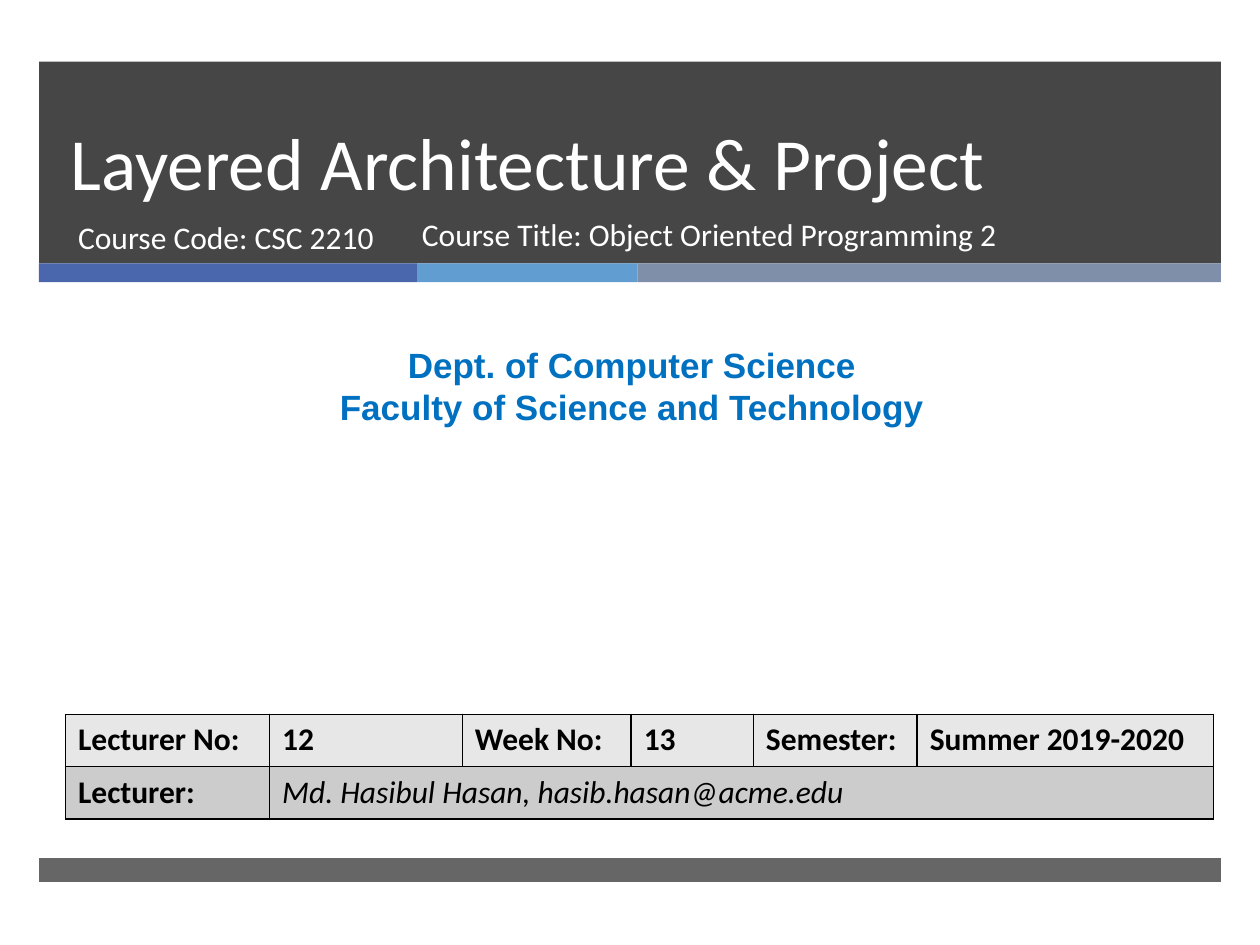
from lxml.etree import SubElement as Sub
from pptx import Presentation
from pptx.dml.color import RGBColor as Rgb
from pptx.enum.shapes import MSO_SHAPE as Kind
from pptx.enum.text import MSO_ANCHOR as Anchor, MSO_AUTO_SIZE as Fit, PP_ALIGN as Align
from pptx.oxml.ns import qn
from pptx.util import Inches, Pt

WHITE = Rgb(0xFF, 0xFF, 0xFF)
BLACK = Rgb(0, 0, 0)
DARK = Rgb(0x26, 0x26, 0x26)
NAVY = Rgb(0x4A, 0x66, 0xAC)
SKY = Rgb(0x62, 0x9D, 0xD1)
SLATE = Rgb(0x7F, 0x8F, 0xA9)
BLUE = Rgb(0x00, 0x70, 0xC0)
LIGHT = Rgb(0xE7, 0xE7, 0xE7)
GREY = Rgb(0xCC, 0xCC, 0xCC)


def add_run(para, text, size, color, font="Calibri", bold=False, italic=False):
    run = para.add_run()
    run.text = text
    face = run.font
    face.name, face.size = font, Pt(size)
    face.bold, face.italic = bold, italic
    face.color.rgb = color


def add_bar(slide, box, color, alpha=100):
    bar = slide.shapes.add_shape(Kind.RECTANGLE, *map(Inches, box))
    bar.shadow.inherit = False
    bar.fill.solid()
    bar.fill.fore_color.rgb = color
    bar.line.fill.background()
    if alpha < 100:
        tint = bar.element.spPr.find(".//" + qn("a:srgbClr"))
        Sub(tint, qn("a:alpha"), val=str(alpha * 1000))


def add_band(slide, box):
    left, top, width, height = box
    strip = 0.15
    add_bar(slide, (left, top, width, height - strip), DARK, 85)
    for part, color in ((3, NAVY), (1.75, SKY), (4.63, SLATE)):
        add_bar(slide, (left, top + height - strip, part, strip), color)
        left += part


def set_holder(holder, box, text, size, anchor):
    holder.left, holder.top, holder.width, holder.height = map(Inches, box)
    holder.element.getparent().append(holder.element)
    frame = holder.text_frame
    frame.auto_size = Fit.NONE
    frame.word_wrap = True
    frame.vertical_anchor = anchor
    para = frame.paragraphs[0]
    para.alignment = Align.LEFT
    para.space_before = Pt(0)
    add_run(para, text, size, WHITE)
    return para


def add_text(slide, box, lines, align, **style):
    frame = slide.shapes.add_textbox(*map(Inches, box)).text_frame
    frame.word_wrap = True
    for index, line in enumerate(lines):
        para = frame.add_paragraph() if index else frame.paragraphs[0]
        para.alignment = align
        add_run(para, line, **style)


def set_cell(cell, color):
    props = cell._tc.get_or_add_tcPr()
    for side in ("lnL", "lnR", "lnT", "lnB"):
        edge = Sub(props, qn("a:" + side), w=str(Pt(1)))
        Sub(Sub(edge, qn("a:solidFill")), qn("a:srgbClr"), val=str(BLACK))
    cell.fill.solid()
    cell.fill.fore_color.rgb = color


def add_facts(slide, box):
    widths = (1.62, 1.53, 1.34, 0.97, 1.3, 2.35)
    rows = (
        (LIGHT, ("Lecturer No:", "12", "Week No:", "13", "Semester:", "Summer 2019-2020")),
        (GREY, ("Lecturer:", "Md. Hasibul Hasan, hasib.hasan@acme.edu")),
    )
    table = slide.shapes.add_table(len(rows), len(widths), *map(Inches, box)).table
    for col, width in zip(table.columns, widths):
        col.width = Inches(width)
    for r, (color, texts) in enumerate(rows):
        for c in range(len(widths)):
            set_cell(table.cell(r, c), color)
        for c, text in enumerate(texts):
            name = (r, c) == (1, 1)
            para = table.cell(r, c).text_frame.paragraphs[0]
            add_run(para, text, 18, BLACK, bold=not name, italic=name)
    table.cell(1, 1).merge(table.cell(1, 5))


def main():
    deck = Presentation()
    deck.slide_width, deck.slide_height = Inches(10), Inches(7.5)
    slide = deck.slides.add_slide(deck.slide_layouts[0])
    add_band(slide, (0.31, 0.49, 9.38, 1.75))
    add_bar(slide, (0.31, 6.81, 9.38, 0.19), DARK, 70)
    title = set_holder(slide.shapes.title, (0.46, 0.49, 8.54, 1.19),
                       "Layered Architecture & Project", 42, Anchor.BOTTOM)
    title.line_spacing = Pt(46)
    set_holder(slide.placeholders[1], (0.52, 1.68, 3.05, 0.53),
               "Course Code: CSC 2210", 18, Anchor.TOP)
    add_text(slide, (0.08, 2.68, 9.87, 0.77),
             ("Dept. of Computer Science", "Faculty of Science and Technology"),
             Align.CENTER, size=20, color=BLUE, font="Arial", bold=True)
    add_facts(slide, (0.52, 5.67, 9.12, 0.83))
    add_text(slide, (3.25, 1.66, 5.11, 0.53),
             ("Course Title: Object Oriented Programming 2",),
             Align.LEFT, size=18, color=WHITE)
    deck.save("out.pptx")


if __name__ == "__main__":
    main()
